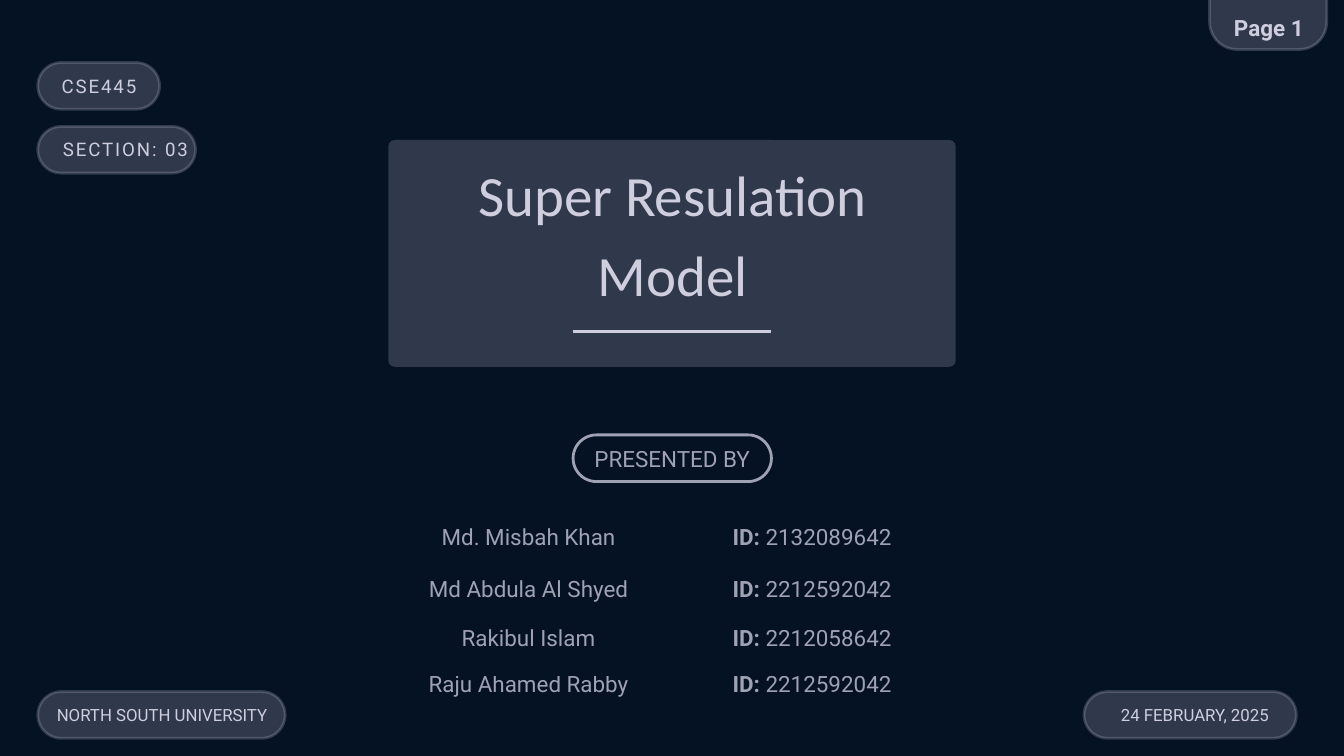
from dataclasses import dataclass

from lxml.etree import SubElement
from pptx import Presentation
from pptx.dml.color import RGBColor
from pptx.enum.shapes import MSO_CONNECTOR, MSO_SHAPE
from pptx.enum.text import MSO_ANCHOR, MSO_AUTO_SIZE, PP_ALIGN
from pptx.oxml.ns import qn
from pptx.util import Pt


@dataclass(frozen=True)
class Theme:
    night: str = "051224"
    lavender: str = "CECEDF"
    glass: int = 21      # opacity of panels, percent
    muted: int = 77      # opacity of secondary text, percent
    title_font: str = "Calibri"
    text_font: str = "Roboto"
    title: int = 61
    body: int = 24
    label: int = 20
    footer: int = 18
    leading: float = 1.4
    stroke: int = 3
    no_grid: str = "{2D5ABB26-0587-4C30-8999-92F81FD0307C}"


class Deck:
    def __init__(self, theme, width, height):
        self.theme = theme
        self.presentation = Presentation()
        self.presentation.slide_width = Pt(width)
        self.presentation.slide_height = Pt(height)

    def new_slide(self):
        self.slide = self.presentation.slides.add_slide(self.presentation.slide_layouts[5])
        self.paint(self.slide.background.fill, color=self.theme.night)

    def paint(self, fill, opacity=100, color=None):
        fill.solid()
        fill.fore_color.rgb = RGBColor.from_string(color or self.theme.lavender)
        if opacity < 100:
            tint = fill._xPr.find(".//" + qn("a:srgbClr"))
            SubElement(tint, qn("a:alpha")).set("val", str(opacity * 1000))

    def add_runs(self, paragraph, runs, size, align, opacity=100, font=None, tracking=0):
        """Fill a paragraph with (text, bold) runs."""
        paragraph.alignment = align
        paragraph.line_spacing = Pt(round(size * self.theme.leading, 1))
        paragraph.space_before = Pt(0)
        for text, bold in runs:
            run = paragraph.add_run()
            run.text = text
            run.font.name = font or self.theme.text_font
            run.font.size = Pt(size)
            run.font.bold = bold
            self.paint(run.font.fill, opacity)
            if tracking:
                run._r.get_or_add_rPr().set("spc", str(tracking * 100))

    def frame(self, shape):
        frame = shape.text_frame
        frame.word_wrap = True
        frame.auto_size = MSO_AUTO_SIZE.NONE
        frame.vertical_anchor = MSO_ANCHOR.TOP
        frame.margin_left = frame.margin_right = frame.margin_top = frame.margin_bottom = 0
        return frame

    def panel(self, box, radius, filled=True, stroke=None):
        shape = self.slide.shapes.add_shape(MSO_SHAPE.ROUNDED_RECTANGLE, *map(Pt, box))
        shape.adjustments[0] = radius / min(box[2:])
        shape.shadow.inherit = False
        if filled:
            self.paint(shape.fill, self.theme.glass)
        else:
            shape.fill.background()
        if stroke:
            self.paint(shape.line.fill, stroke)
            shape.line.width = Pt(self.theme.stroke)
        else:
            shape.line.fill.background()

    def text(self, box, text, size, align, bold=False, opacity=100, tracking=0):
        frame = self.frame(self.slide.shapes.add_textbox(*map(Pt, box)))
        self.add_runs(frame.paragraphs[0], [(text, bold)], size, align, opacity, tracking=tracking)

    def title(self, box, lines):
        title = self.slide.shapes.title
        title.left, title.top, title.width, title.height = map(Pt, box)
        frame = self.frame(title)
        for i, line in enumerate(lines):
            paragraph = frame.add_paragraph() if i else frame.paragraphs[0]
            self.add_runs(paragraph, [(line, False)], self.theme.title, PP_ALIGN.CENTER,
                          font=self.theme.title_font)
        # Bring the title in front of its panel
        title.element.getparent().append(title.element)

    def rule(self, left, right, y):
        line = self.slide.shapes.add_connector(
            MSO_CONNECTOR.STRAIGHT, Pt(left), Pt(y), Pt(right), Pt(y))
        self.paint(line.line.fill)
        line.line.width = Pt(self.theme.stroke)
        SubElement(line._element.spPr, qn("a:effectLst"))

    def table(self, left, top, widths, heights, rows):
        table = self.slide.shapes.add_table(
            len(rows), len(widths), Pt(left), Pt(top), Pt(sum(widths)), Pt(sum(heights))).table
        table.first_row = table.horz_banding = False
        table._tbl.tblPr.find(qn("a:tableStyleId")).text = self.theme.no_grid
        for column, width in zip(table.columns, widths):
            column.width = Pt(width)
        for row, height, contents in zip(table.rows, heights, rows):
            row.height = Pt(height)
            for cell, runs in zip(row.cells, contents):
                cell.fill.background()
                cell.vertical_anchor = MSO_ANCHOR.MIDDLE
                cell.margin_left = cell.margin_right = cell.margin_top = cell.margin_bottom = 0
                self.add_runs(cell.text_frame.paragraphs[0], runs, self.theme.body,
                              PP_ALIGN.CENTER, self.theme.muted)


def main():
    theme = Theme()
    deck = Deck(theme, 1440, 810)
    deck.new_slide()
    left, center, right = PP_ALIGN.LEFT, PP_ALIGN.CENTER, PP_ALIGN.RIGHT
    edge, pill, footer_top = 40.5, 50, 741

    # Course and footer pills: left, top, width
    for x, y, width in [(edge, 67, 130.5), (edge, 135.5, 169),
                        (edge, footer_top, 265), (1161.5, footer_top, 227.5)]:
        deck.panel((x, y, width, pill), pill / 2, stroke=theme.glass)
    deck.text((66, 76.5, 91.5, 28), "CSE445", theme.label, left, tracking=2)
    deck.text((54, 144, 147.5, 28), "SECTION: 03", theme.label, right, tracking=2)
    deck.text((55.5, 751.5, 231, 25), "NORTH SOUTH UNIVERSITY", theme.footer, right)
    deck.text((988, 751.5, 371.5, 25), "24 FEBRUARY, 2025", theme.footer, right)

    # Page tab hanging from the top edge
    deck.panel((1296, -53, 125.5, 106), 29.5, stroke=theme.glass)
    deck.text((1322, 10, 75, 32), "Page 1", theme.body, center, bold=True)

    # Title panel
    deck.panel((416, 150, 608, 243), 7)
    deck.rule(614, 826, 355.5)
    deck.title((316, 159, 809, 167), ["Super Resulation", "Model"])

    # Presenters
    deck.panel((614, 466, 212.5, pill), pill / 2, filled=False, stroke=theme.muted)
    deck.text((628.5, 472.5, 183.5, 32), "PRESENTED BY", theme.body, center, opacity=theme.muted)
    presenters = [
        ("Md. Misbah Khan", "2132089642"),
        ("Md Abdula Al Shyed", "2212592042"),
        ("Rakibul Islam", "2212058642"),
        ("Raju Ahamed Rabby", "2212592042"),
    ]
    deck.table(416, 543.5, [300.5, 307], [60, 52, 52, 48],
               [([(name, False)], [("ID: ", True), (number, False)])
                for name, number in presenters])

    deck.presentation.save("out.pptx")


if __name__ == "__main__":
    main()
